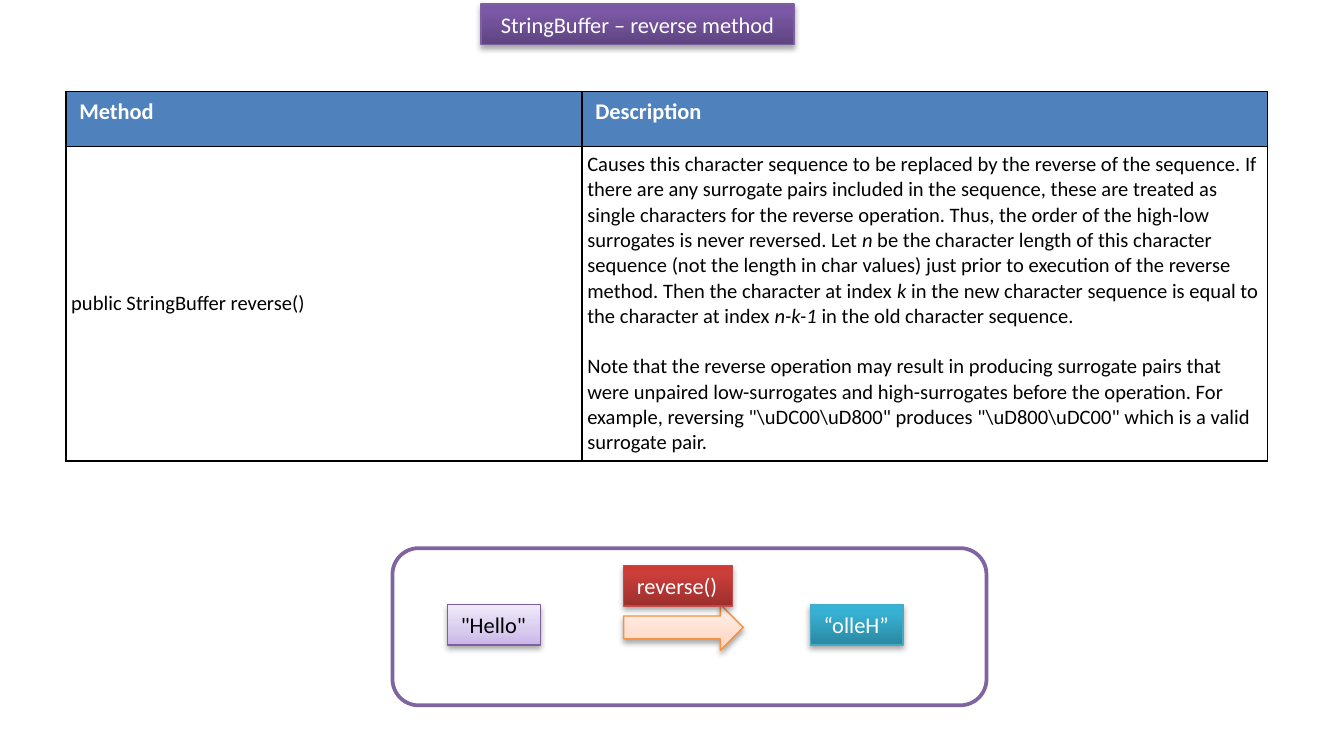
from lxml.etree import SubElement
from pptx import Presentation
from pptx.dml.color import RGBColor
from pptx.enum.shapes import MSO_SHAPE
from pptx.enum.text import MSO_ANCHOR, MSO_AUTO_SIZE, PP_ALIGN
from pptx.oxml import parse_xml
from pptx.oxml.ns import nsdecls, qn
from pptx.util import Emu, Pt

PX = 9144  # 100 px to the inch
WHITE = RGBColor(0xFF, 0xFF, 0xFF)
BLACK = RGBColor(0x00, 0x00, 0x00)
HEADER_BLUE = RGBColor(0x4F, 0x81, 0xBD)
FRAME_PURPLE = RGBColor(0x80, 0x64, 0xA2)
PURPLE = RGBColor(0x7D, 0x60, 0xA0)
TEAL = RGBColor(0x46, 0xAA, 0xC5)
ORANGE = RGBColor(0xF6, 0x92, 0x40)
RED = RGBColor(0xBF, 0x4C, 0x48)


def write(paragraph, text, size=12, color=BLACK, bold=False, italic=False):
    run = paragraph.add_run()
    run.text = text
    run.font.name = "Calibri"
    run.font.size = Pt(size)
    run.font.bold = bold
    run.font.italic = italic
    run.font.color.rgb = color


def add_box(shapes, kind, bounds, line_color, line_width):
    box = shapes.add_shape(kind, *(Emu(n * PX) for n in bounds))
    box.shadow.inherit = False
    box.line.color.rgb = line_color
    box.line.width = Pt(line_width)
    return box


prs = Presentation()
prs.slide_width, prs.slide_height = Emu(1000 * PX), Emu(550 * PX)
slide = prs.slides.add_slide(prs.slide_layouts[6])

# Rounded frame around the example
frame = add_box(slide.shapes, MSO_SHAPE.ROUNDED_RECTANGLE, (292, 408, 442, 117), FRAME_PURPLE, 2)
frame.fill.solid()
frame.fill.fore_color.rgb = WHITE

# Method table
table_frame = slide.shapes.add_table(2, 2, Emu(49 * PX), Emu(68 * PX), Emu(894 * PX), Emu(269 * PX))
table = table_frame.table
for column, width in zip(table.columns, (384, 510)):
    column.width = Emu(width * PX)
for row, height in zip(table.rows, (41, 228)):
    row.height = Emu(height * PX)

for cell, heading in zip(table.rows[0].cells, ("Method", "Description")):
    cell.fill.solid()
    cell.fill.fore_color.rgb = HEADER_BLUE
    write(cell.text_frame.paragraphs[0], heading, color=WHITE, bold=True)

for cell in table.rows[1].cells:
    cell.fill.solid()
    cell.fill.fore_color.rgb = WHITE
    cell.vertical_anchor = MSO_ANCHOR.MIDDLE
    cell.margin_left = cell.margin_right = cell.margin_top = cell.margin_bottom = Emu(4 * PX)

method, description = table.rows[1].cells
write(method.text_frame.paragraphs[0], "public StringBuffer reverse()", size=11)

# Plain and italic pieces alternate
behaviour = (
    "Causes this character sequence to be replaced by the reverse of the sequence. "
    "If there are any surrogate pairs included in the sequence, these are treated as "
    "single characters for the reverse operation. Thus, the order of the high-low "
    "surrogates is never reversed. Let ",
    "n",
    " be the character length of this character sequence (not the length in char values) "
    "just prior to execution of the reverse method. Then the character at index ",
    "k",
    " in the new character sequence is equal to the character at index ",
    "n-k-1",
    " in the old character sequence.",
)
for i, piece in enumerate(behaviour):
    write(description.text_frame.paragraphs[0], piece, size=11, italic=i % 2 == 1)

note = description.text_frame.add_paragraph()
note.space_before = Pt(13.4)
write(
    note,
    "Note that the reverse operation may result in producing surrogate pairs that were "
    "unpaired low-surrogates and high-surrogates before the operation. For example, "
    r'reversing "\uDC00\uD800" produces "\uD800\uDC00" which is a valid surrogate pair.',
    size=11,
)

# Cell borders come ahead of the cell fill
for cell in table.iter_cells():
    properties = cell._tc.get_or_add_tcPr()
    for i, side in enumerate("LRTB"):
        properties.insert(i, parse_xml(
            f'<a:ln{side} {nsdecls("a")} w="12700"><a:solidFill>'
            f'<a:srgbClr val="{BLACK}"/></a:solidFill></a:ln{side}>'))

# Title, example values, arrow and call: gradient stops run from bottom to top
RECT, ARROW = MSO_SHAPE.RECTANGLE, MSO_SHAPE.RIGHT_ARROW
gradient_boxes = [
    (RECT, (358, 3, 233, 30), "StringBuffer – reverse method", WHITE, PURPLE,
     ((0, "5F4480"), (80, "7B58A6"), (100, "7C57A8"))),
    (RECT, (333, 450, 69, 30), '"Hello"', BLACK, PURPLE,
     ((0, "C9B5E8"), (35, "D8CBEE"), (100, "F0EAF9"))),
    (RECT, (603, 450, 69, 30), "“olleH”", WHITE, TEAL,
     ((0, "2A88A2"), (80, "37B1D2"), (100, "34B4D6"))),
    (ARROW, (464, 450, 89, 34), "", BLACK, ORANGE,
     ((0, "FFD2BD"), (35, "FFDED0"), (100, "FFF2ED"))),
    (RECT, (464, 421, 81, 30), "reverse()", WHITE, RED,
     ((0, "9C2F2D"), (80, "CB3E3A"), (100, "CE3B37"))),
]
for kind, bounds, label, text_color, line_color, stops in gradient_boxes:
    box = add_box(slide.shapes, kind, bounds, line_color, 0.75)

    box.fill.gradient()
    box.fill.gradient_angle = 90
    stop_list = box._element.spPr.find(".//" + qn("a:gsLst"))
    for old_stop in list(stop_list):
        stop_list.remove(old_stop)
    for position, color in stops:
        stop = SubElement(stop_list, qn("a:gs"), pos=str(position * 1000))
        SubElement(stop, qn("a:srgbClr"), val=color)

    effects = box._element.spPr.find(qn("a:effectLst"))
    shadow = SubElement(effects, qn("a:outerShdw"), blurRad=str(Pt(3.1)), dist=str(Pt(1.8)),
                        dir="5400000", rotWithShape="0")
    shade = SubElement(shadow, qn("a:srgbClr"), val=str(BLACK))
    SubElement(shade, qn("a:alpha"), val="35000")

    if label:
        is_title = bounds[1] < 100
        box.text_frame.word_wrap = is_title
        box.text_frame.auto_size = MSO_AUTO_SIZE.SHAPE_TO_FIT_TEXT
        paragraph = box.text_frame.paragraphs[0]
        paragraph.alignment = PP_ALIGN.CENTER if is_title else PP_ALIGN.LEFT
        write(paragraph, label, color=text_color)

prs.save("out.pptx")
